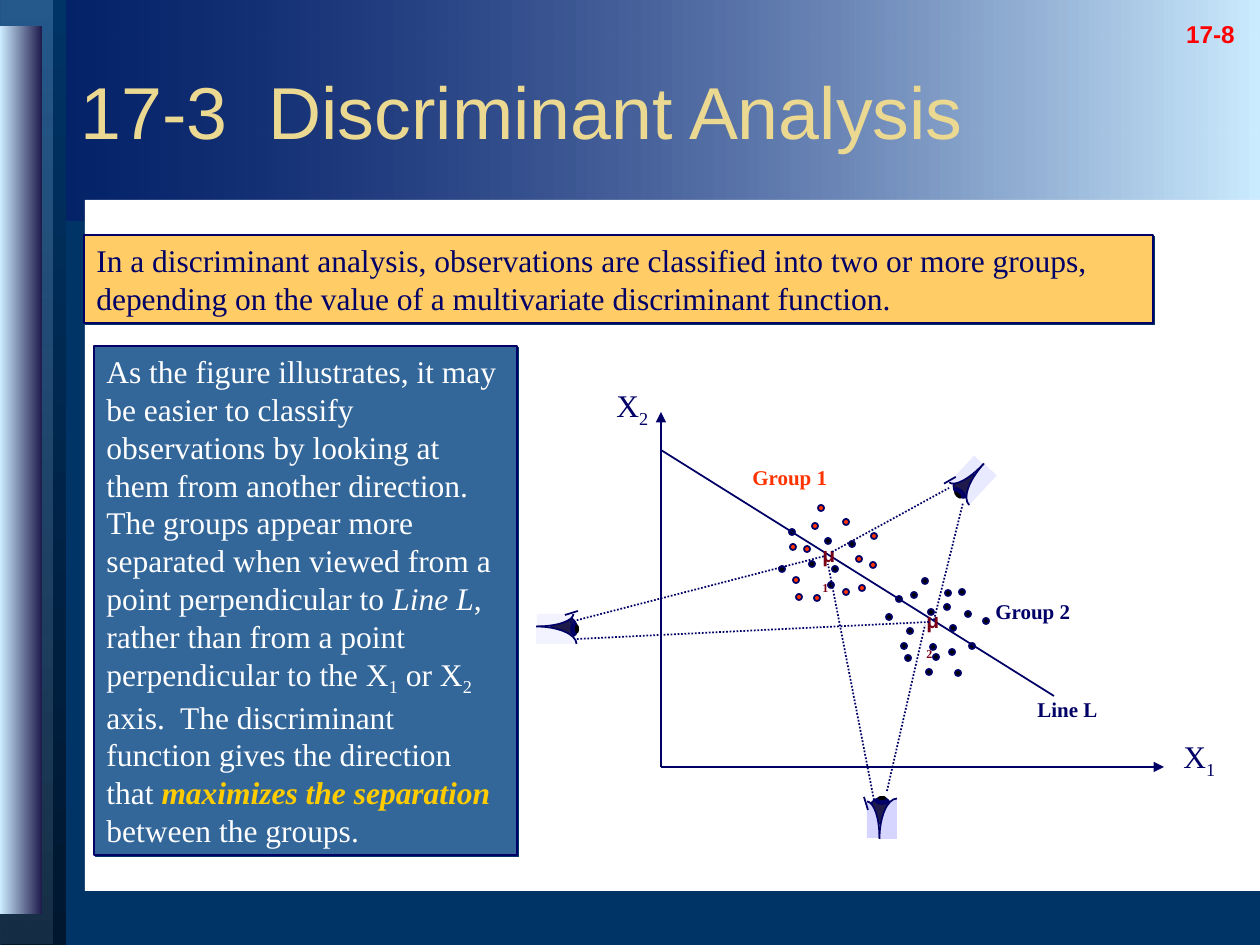
from math import cos, radians, sin

from lxml.etree import SubElement
from pptx import Presentation
from pptx.dml.color import RGBColor
from pptx.enum.dml import MSO_LINE
from pptx.enum.shapes import MSO_CONNECTOR, MSO_SHAPE
from pptx.enum.text import MSO_ANCHOR, MSO_AUTO_SIZE, PP_ALIGN
from pptx.oxml.ns import qn
from pptx.util import Emu, Pt

PX = 914400 / 126
SERIF, SANS = "Times New Roman", "Arial"
COLORS = {
    "back": "003366", "navy": "000066", "sky": "CCECFF", "deep": "00172F",
    "steel": "336699", "slate": "172F46", "indigo": "1E1B4B", "white": "FFFFFF",
    "black": "000000", "amber": "FFCC66", "gold": "FFCC00", "sand": "EBD891",
    "red": "FF0000", "orange": "FF3300", "maroon": "790015",
    "lid left": "F3F3FF", "lid bottom": "D5D5FF", "lid top": "E9E9FF",
}

# Dot centres
GROUP_2 = [(953, 628), (947, 607), (914, 595), (931, 612), (958, 673), (952, 652),
           (929, 672), (936, 657), (925, 581), (899, 599), (933, 647), (968, 614),
           (904, 646), (910, 631), (972, 646), (962, 592), (889, 617), (908, 658),
           (986, 621), (948, 593)]
GROUP_1_DARK = [(828, 541), (812, 564), (852, 544), (782, 569), (831, 585),
                (792, 532), (835, 569)]
GROUP_1_RED = [(807, 549), (796, 580), (874, 536), (873, 565), (859, 559), (799, 597),
               (862, 588), (815, 526), (846, 592), (846, 522), (817, 598), (821, 508),
               (793, 547)]

# Eye looking right, around the middle of its ball: length, breadth, offset, fill, line
EYE_PARTS = [(26, 24, (0, 0), "indigo", "navy"), (6, 13, (10, 1), "navy", "navy"),
             (4, 9, (13, 1), "black", None)]
# Each lid is a quarter of an ellipse: its middle, width, height, turn, side of the arc
LIDS = [((-27, -14), 73, 25, 0, 1), ((-28, 16), 81, 35, 180, -1)]
LASH = [(14, -17), (1, -13)]


def px(value):
    return Emu(round(value * PX))


def rgb(name):
    return RGBColor.from_string(COLORS[name])


def paint(shape, fill, line=None, width=1):
    shape.shadow.inherit = False
    shape.fill.solid()
    shape.fill.fore_color.rgb = rgb(fill)
    if line:
        shape.line.color.rgb = rgb(line)
        shape.line.width = Pt(width)
    else:
        shape.line.fill.background()


def add_block(slide, kind, left, top, width, height, fill, line=None, weight=1):
    block = slide.shapes.add_shape(kind, px(left), px(top), px(width), px(height))
    paint(block, fill, line, weight)
    return block


def add_gradient(slide, box, ends, angle, alphas=(100, 100)):
    panel = add_block(slide, MSO_SHAPE.RECTANGLE, *box, "back")
    panel.fill.gradient()
    panel.fill.gradient_angle = angle
    for stop, name in zip(panel.fill.gradient_stops, ends):
        stop.color.rgb = rgb(name)
    for color, alpha in zip(panel._element.spPr.iter(qn("a:srgbClr")), alphas):
        if alpha < 100:
            SubElement(color, qn("a:alpha"), val=str(alpha * 1000))


def write(shape, *runs, font=SERIF, size=18, color="navy", bold=False, italic=False,
          base=0, align=PP_ALIGN.LEFT, anchor=MSO_ANCHOR.TOP, wrap=True):
    """Each run is a text, or a pair of a text and what differs in its format."""
    frame = shape.text_frame
    frame.word_wrap = wrap
    frame.auto_size = MSO_AUTO_SIZE.NONE if wrap else MSO_AUTO_SIZE.SHAPE_TO_FIT_TEXT
    frame.vertical_anchor = anchor
    paragraph = frame.paragraphs[0]
    paragraph.alignment = align
    for item in runs:
        text, own = (item, {}) if isinstance(item, str) else item
        run = paragraph.add_run()
        run.text = text
        run.font.name = own.get("font", font)
        run.font.size = Pt(size)
        run.font.color.rgb = rgb(own.get("color", color))
        run.font.bold = own.get("bold", bold)
        run.font.italic = own.get("italic", italic)
        offset = own.get("base", base)
        if offset:
            run.font._element.set("baseline", str(offset * 1000))


def add_label(slide, box, *runs, **style):
    write(slide.shapes.add_textbox(*map(px, box)), *runs, **style)


def add_text_panel(slide, box, fill, *runs, **style):
    panel = add_block(slide, MSO_SHAPE.RECTANGLE, *box, fill, "navy", 0.75)
    effects = panel._element.spPr.find(qn("a:effectLst"))
    shadow = SubElement(effects, qn("a:outerShdw"), dist=str(Pt(1.4)), dir="2700000",
                        algn="ctr", rotWithShape="0")
    SubElement(shadow, qn("a:srgbClr"), val=COLORS["back"])
    write(panel, *runs, **style)


def add_line(slide, start, end, dotted=False, arrow=False):
    line = slide.shapes.add_connector(MSO_CONNECTOR.STRAIGHT, *map(px, (*start, *end)))
    line.line.color.rgb = rgb("navy")
    line.line.width = Pt(1)
    if dotted:
        line.line.dash_style = MSO_LINE.ROUND_DOT
    if arrow:
        SubElement(line.line._get_or_add_ln(), qn("a:tailEnd"), type="triangle")
    SubElement(line._element.spPr, qn("a:effectLst"))


def add_dots(slide, centres, fill):
    for x, y in centres:
        add_block(slide, MSO_SHAPE.OVAL, x - 3, y - 3, 6, 6, fill, "navy")


def add_quarter(slide, centre, width, height, angle, side, fill):
    """Filled quarter of an ellipse, outlined on its arc only; side 1 is lower right."""
    left, top = px(centre[0] - width / 2), px(centre[1] - height / 2)
    right, bottom = left + px(width), top + px(height)
    builder = slide.shapes.build_freeform(left, top)
    builder.add_line_segments([(right, top), (right, bottom), (left, bottom)])
    quarter = builder.convert_to_shape()
    paint(quarter, fill, "navy")
    quarter.rotation = angle % 360

    # Arc in a frame of 200 by 200, with the ellipse's middle at 100, 100
    arc = [(100 + 100 * side, 100), (100 + 100 * side, 155), (100 + 55 * side, 200),
           (100, 200)]
    steps = [("moveTo", arc[:1]), ("cubicBezTo", arc[1:]), ("lnTo", [(100, 100)]),
             ("close", [])]
    outlines = next(quarter._element.iter(qn("a:pathLst")))
    outlines.clear()
    for hidden, kept in (({"stroke": "0"}, steps), ({"fill": "none"}, steps[:2])):
        outline = SubElement(outlines, qn("a:path"), w="200", h="200", **hidden)
        for command, points in kept:
            step = SubElement(outline, qn("a:" + command))
            for x, y in points:
                SubElement(step, qn("a:pt"), x=str(x), y=str(y))


def add_eye(slide, centre, angle, lid, mirror=1):
    turn = radians(angle)

    def place(point):
        x, y = point[0], point[1] * mirror
        return (centre[0] + x * cos(turn) - y * sin(turn),
                centre[1] + x * sin(turn) + y * cos(turn))

    for width, height, offset, fill, line in EYE_PARTS:
        if angle:
            width, height = height, width
        x, y = place(offset)
        part = add_block(slide, MSO_SHAPE.OVAL, x - width / 2, y - height / 2, width,
                         height, fill, line)
        part.rotation = (angle + 90) % 180 if angle else 0
    flip = 0 if mirror == 1 else 180
    for middle, width, height, lid_turn, _ in LIDS:
        side = mirror if lid_turn == 0 else -mirror
        add_quarter(slide, place(middle), width, height, angle + flip + lid_turn, side, lid)
    add_line(slide, *map(place, LASH))


def add_background(slide):
    slide.background.fill.solid()
    slide.background.fill.fore_color.rgb = rgb("back")
    add_gradient(slide, (0, 0, 1260, 221), ("sky", "navy"), 180, (100, 38))
    add_gradient(slide, (1, 0, 65, 945), ("back", "deep"), 270)
    add_gradient(slide, (-3, -1, 55, 945), ("steel", "slate"), 270, (73, 100))
    add_gradient(slide, (0, 26, 42, 888), ("indigo", "sky"), 180)
    add_block(slide, MSO_SHAPE.RECTANGLE, 85, 200, 1175, 691, "white")
    add_label(slide, (1155, -15, 111, 71), "17-8", font=SANS, size=24, color="red",
              bold=True, base=-25, align=PP_ALIGN.CENTER)


def add_figure(slide):
    # Axes, observations and Line L
    add_line(slide, (661, 767), (661, 412), arrow=True)
    add_line(slide, (661, 767), (1164, 767), arrow=True)
    add_dots(slide, GROUP_2, "black")
    add_dots(slide, GROUP_1_DARK, "black")
    add_dots(slide, GROUP_1_RED, "orange")
    add_line(slide, (661, 450), (1054, 696))

    # Labels
    sub = {"base": -25, "font": SERIF}
    for number, left, top in (("2", 604, 380), ("1", 1171, 731)):
        add_label(slide, (left, top, 57, 55), "X", (number, sub), wrap=False)
    for text, left, top, width, color in (("Group 1", 740, 458, 101, "orange"),
                                          ("Group 2", 983, 592, 101, "navy"),
                                          ("Line L", 1025, 690, 86, "navy")):
        add_label(slide, (left, top, width, 38), text, size=12, color=color, bold=True,
                  wrap=False)
    for number, left, top in (("1", 810, 535), ("2", 914, 601)):
        add_label(slide, (left, top, 43, 40), "μ", (number, sub), font=SANS, size=12,
                  color="maroon", bold=True)

    # Eyes and their lines of sight
    add_eye(slide, (564, 628), 0, "lid left")
    add_eye(slide, (881, 811), 270, "lid bottom")
    add_eye(slide, (966, 485), 133, "lid top", mirror=-1)
    for start, end in (((570, 622), (825, 556)), ((577, 639), (929, 622)),
                       ((874, 800), (828, 564)), ((887, 791), (925, 625)),
                       ((832, 552), (949, 488)), ((934, 620), (963, 503))):
        add_line(slide, start, end, dotted=True)


def main():
    deck = Presentation()
    deck.slide_width, deck.slide_height = px(1260), px(945)
    slide = deck.slides.add_slide(deck.slide_layouts[5])
    add_background(slide)
    add_text_panel(slide, (84, 235, 1069, 88), "amber",
                   "In a discriminant analysis, observations are classified into two or "
                   "more groups, depending on the value of a multivariate discriminant "
                   "function.")
    add_figure(slide)
    sub = {"base": -25}
    add_text_panel(slide, (94, 346, 423, 509), "steel",
                   "As the figure illustrates, it may be easier to classify observations "
                   "by looking at them from another direction.  The groups appear more "
                   "separated when viewed from a point perpendicular to ",
                   ("Line L", {"italic": True}),
                   ", rather than from a point perpendicular to the X", ("1", sub),
                   " or X", ("2", sub),
                   " axis.  The discriminant function gives the direction that ",
                   ("maximizes the separation ",
                    {"color": "gold", "bold": True, "italic": True}),
                   "between the groups.", color="white")

    # Title, brought in front of the header band
    title = slide.shapes.title
    title.left, title.top, title.width, title.height = map(px, (68, 31, 1168, 158))
    write(title, "17-3  Discriminant Analysis", font=SANS, size=42, color="sand",
          anchor=MSO_ANCHOR.MIDDLE)
    slide.shapes._spTree.append(title._element)
    deck.save("out.pptx")


if __name__ == "__main__":
    main()
